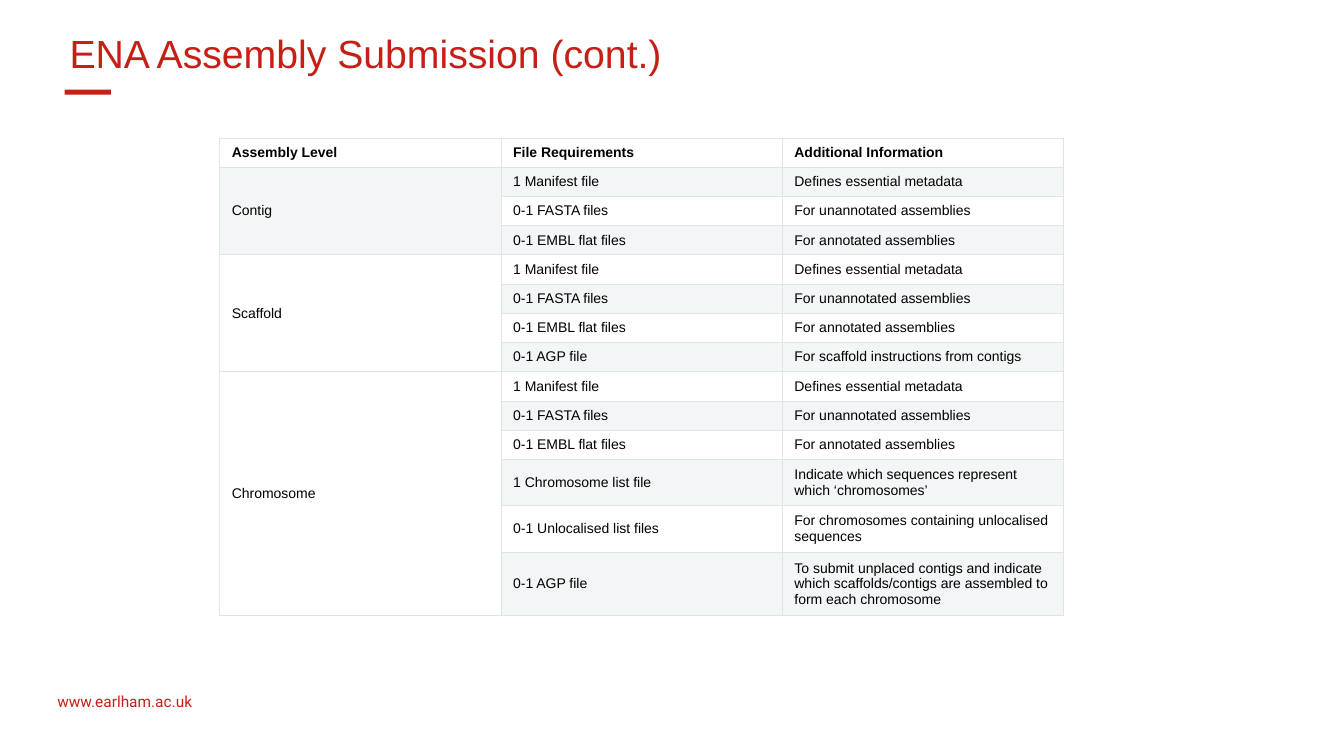
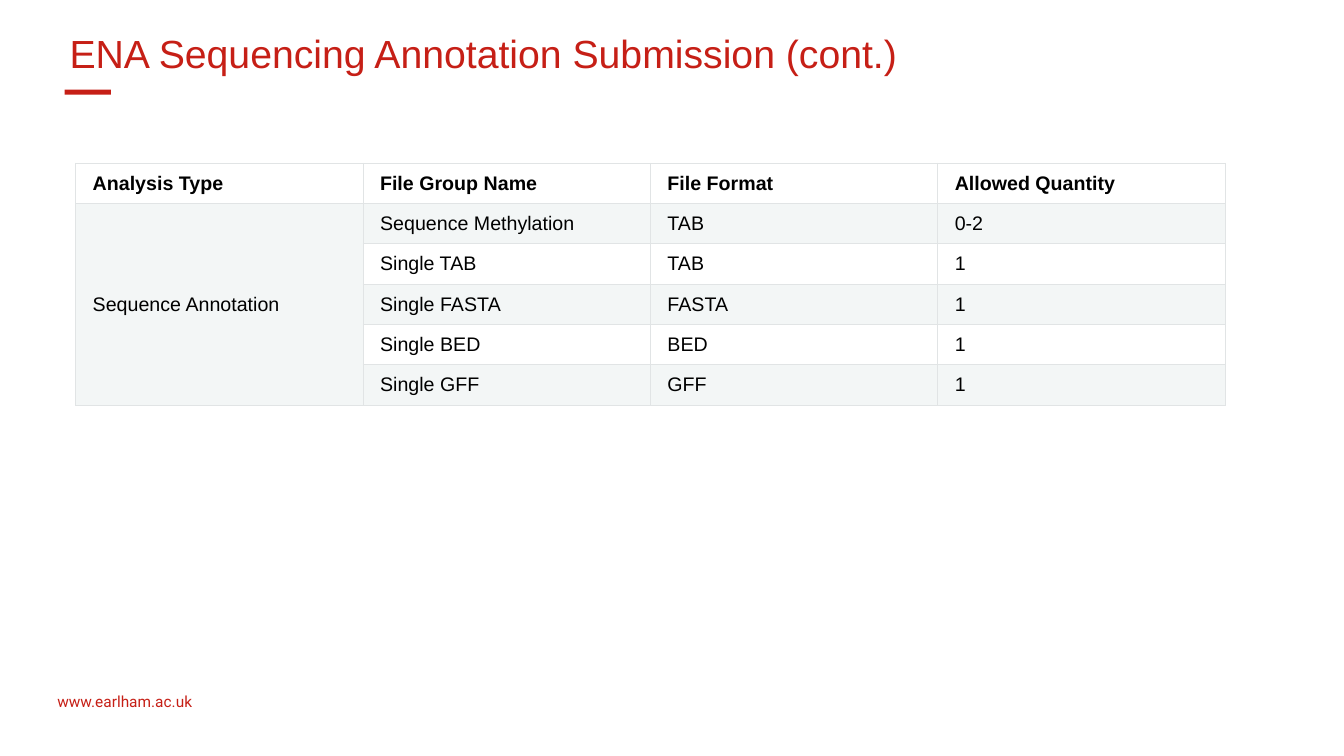
from dataclasses import dataclass

from lxml import etree
from pptx import Presentation
from pptx import util as u
from pptx.dml.color import RGBColor
from pptx.enum import shapes, text
from pptx.oxml import ns

RED = RGBColor(0xC6, 0x1F, 0x16)
BLACK = RGBColor(0x00, 0x00, 0x00)
BAND = RGBColor(0xF3, 0xF6, 0xF6)
BORDER = RGBColor(0xE1, 0xE4, 0xE5)
BORDER_WIDTH = u.Pt(0.75)
TITLE_ONLY = 5

TITLE_FORMAT = {"name": "Arial", "size": u.Pt(28), "bold": False}
FOOTER_FORMAT = {"name": "Roboto", "size": u.Pt(11)}


@dataclass
class Group:
    """Rows that share one merged label in the first column."""
    label: str
    rows: list[tuple[str, ...]]


@dataclass
class TableSlide:
    title: str
    header: tuple[str, ...]
    groups: list[Group]
    left: float
    top: float
    column_width: float
    row_heights: list[float]
    font_size: int
    margin_x: float
    margin_y: float


# Content
COMMON_FILES = [
    ("1 Manifest file", "Defines essential metadata"),
    ("0-1 FASTA files", "For unannotated assemblies"),
    ("0-1 EMBL flat files", "For annotated assemblies"),
]

SLIDES = [
    TableSlide(
        title="ENA Assembly Submission (cont.)",
        header=("Assembly Level", "File Requirements", "Additional Information"),
        groups=[
            Group("Contig", COMMON_FILES),
            Group("Scaffold", COMMON_FILES + [
                ("0-1 AGP file", "For scaffold instructions from contigs"),
            ]),
            Group("Chromosome", COMMON_FILES + [
                ("1 Chromosome list file",
                 "Indicate which sequences represent which ‘chromosomes’"),
                ("0-1 Unlocalised list files",
                 "For chromosomes containing unlocalised sequences"),
                ("0-1 AGP file",
                 "To submit unplaced contigs and indicate which scaffolds/contigs "
                 "are assembled to form each chromosome"),
            ]),
        ],
        left=2.18, top=1.37, column_width=2.79,
        row_heights=[0.29] * 11 + [0.46, 0.46, 0.63],
        font_size=10, margin_x=0.12, margin_y=0.06,
    ),
    TableSlide(
        title="ENA Sequencing Annotation Submission (cont.)",
        header=("Analysis Type", "File Group Name", "File Format", "Allowed Quantity"),
        groups=[
            Group("Sequence Annotation", [
                ("Sequence Methylation", "TAB", "0-2"),
                *((f"Single {name}", name, "1") for name in ("TAB", "FASTA", "BED", "GFF")),
            ]),
        ],
        left=0.75, top=1.62, column_width=2.85,
        row_heights=[0.4] * 6,
        font_size=14, margin_x=0.17, margin_y=0.08,
    ),
]


def format_text(paragraph, values: dict, color: RGBColor) -> None:
    for name, value in values.items():
        setattr(paragraph.font, name, value)
    paragraph.font.color.rgb = color


# Shared slide parts
def add_title(slide, title: str) -> None:
    shape = slide.shapes.title
    shape.left, shape.top = u.Inches(0.59), u.Inches(0.21)
    shape.width, shape.height = u.Inches(12.18), u.Inches(1.25)
    frame = shape.text_frame
    frame.text = title
    frame.auto_size = text.MSO_AUTO_SIZE.NONE
    frame.vertical_anchor = text.MSO_ANCHOR.TOP
    frame.margin_top = u.Inches(0.08)
    paragraph = frame.paragraphs[0]
    paragraph.alignment = text.PP_ALIGN.LEFT
    format_text(paragraph, TITLE_FORMAT, RED)


def add_title_bar(slide) -> None:
    bar = slide.shapes.add_shape(
        shapes.MSO_SHAPE.RECTANGLE,
        u.Inches(0.64), u.Inches(0.89), u.Inches(0.46), u.Inches(0.05))
    bar.shadow.inherit = False
    bar.fill.solid()
    bar.fill.fore_color.rgb = RED
    bar.line.fill.background()


def add_footer(slide) -> None:
    box = slide.shapes.add_textbox(
        u.Inches(0.47), u.Inches(6.82), u.Inches(2.62), u.Inches(0.29))
    frame = box.text_frame
    frame.word_wrap = True
    frame.text = "www.earlham.ac.uk"
    format_text(frame.paragraphs[0], FOOTER_FORMAT, RED)


# Table
def add_borders(cell) -> None:
    properties = cell._tc.get_or_add_tcPr()
    for index, side in enumerate(("lnL", "lnR", "lnT", "lnB")):
        line = etree.Element(ns.qn(f"a:{side}"), w=str(BORDER_WIDTH))
        fill = etree.SubElement(line, ns.qn("a:solidFill"))
        etree.SubElement(fill, ns.qn("a:srgbClr"), val=str(BORDER))
        properties.insert(index, line)


def style_cell(cell, content: TableSlide, row: int) -> None:
    cell_format = {
        "margin_left": u.Inches(content.margin_x),
        "margin_right": u.Inches(content.margin_x),
        "margin_top": u.Inches(content.margin_y),
        "margin_bottom": u.Inches(content.margin_y),
        "vertical_anchor": text.MSO_ANCHOR.MIDDLE,
    }
    for name, value in cell_format.items():
        setattr(cell, name, value)
    if row % 2:
        cell.fill.solid()
        cell.fill.fore_color.rgb = BAND
    else:
        cell.fill.background()
    add_borders(cell)
    font_format = {"name": "Arial", "size": u.Pt(content.font_size), "bold": row == 0}
    format_text(cell.text_frame.paragraphs[0], font_format, BLACK)


def add_grouped_table(slide, content: TableSlide) -> None:
    heights = content.row_heights
    column_count = len(content.header)
    table = slide.shapes.add_table(
        len(heights), column_count,
        u.Inches(content.left), u.Inches(content.top),
        u.Inches(content.column_width * column_count),
        u.Inches(sum(heights))).table
    table.first_row = table.horz_banding = False
    for column in table.columns:
        column.width = u.Inches(content.column_width)
    for row, height in zip(table.rows, heights):
        row.height = u.Inches(height)

    # Only the first row of a group carries its label
    lines = [content.header]
    for group in content.groups:
        first = len(lines)
        lines += [(group.label if index == 0 else "", *values)
                  for index, values in enumerate(group.rows)]
        table.cell(first, 0).merge(table.cell(len(lines) - 1, 0))

    for row, values in enumerate(lines):
        for column, value in enumerate(values):
            cell = table.cell(row, column)
            cell.text = value
            style_cell(cell, content, row)


def main() -> None:
    presentation = Presentation()
    presentation.slide_width = u.Inches(13.33)
    presentation.slide_height = u.Inches(7.5)
    for content in SLIDES:
        slide = presentation.slides.add_slide(presentation.slide_layouts[TITLE_ONLY])
        add_footer(slide)
        add_title(slide, content.title)
        add_title_bar(slide)
        add_grouped_table(slide, content)
    presentation.save("out.pptx")


if __name__ == "__main__":
    main()
